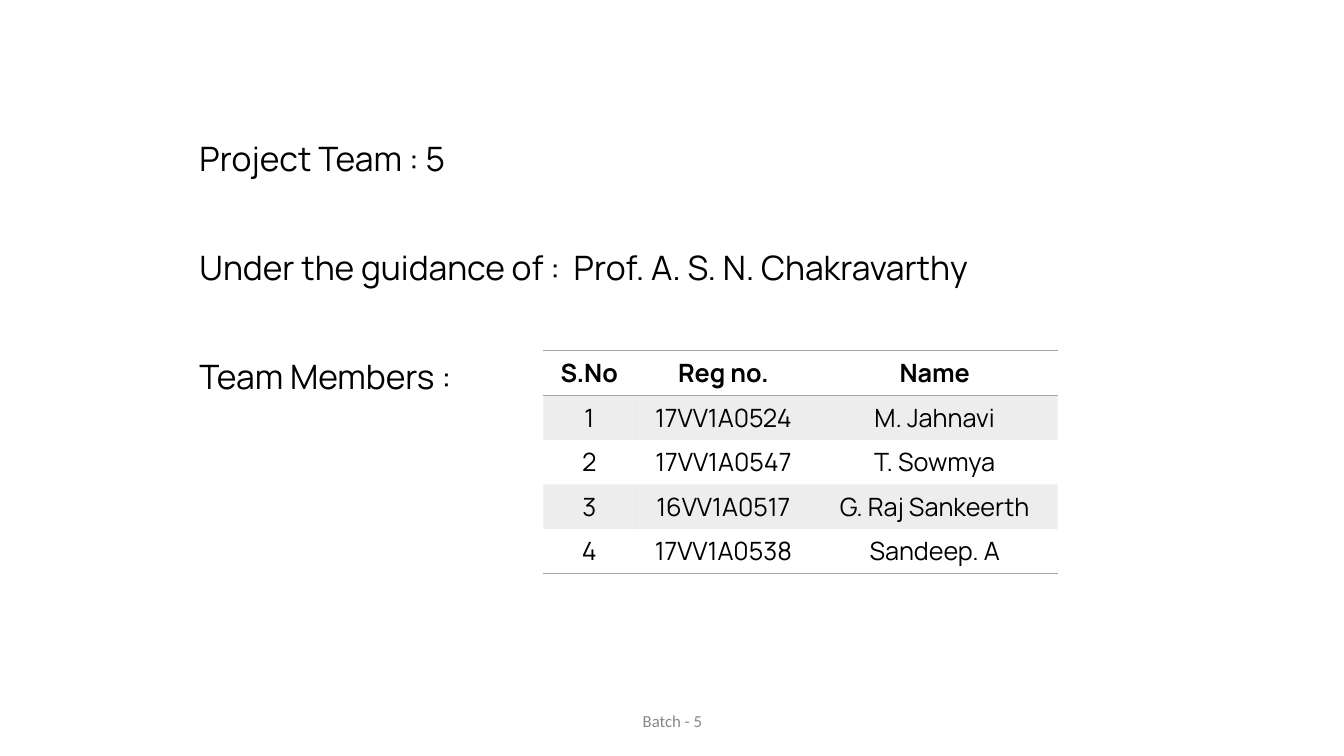
from pptx import Presentation
from pptx.dml.color import RGBColor
from pptx.enum.text import MSO_ANCHOR, MSO_AUTO_SIZE, PP_ALIGN
from pptx.oxml.ns import qn
from pptx.util import Inches, Pt
from lxml import etree
from dataclasses import dataclass

CENTER, LEFT = PP_ALIGN.CENTER, PP_ALIGN.LEFT
TOP, MIDDLE = MSO_ANCHOR.TOP, MSO_ANCHOR.MIDDLE
GROW, FIXED = MSO_AUTO_SIZE.SHAPE_TO_FIT_TEXT, MSO_AUTO_SIZE.NONE


@dataclass(frozen=True)
class Theme:
    """Fonts, colours and type sizes of the slide."""
    body_font: str = "Manrope"
    footer_font: str = "Calibri"
    ink: str = "000000"
    accent: str = "A5A5A5"
    footer_ink: str = "888888"
    band_opacity: int = 20
    heading_size: int = 24
    table_size: int = 18
    footer_size: int = 12
    rule_width: int = 1


class TeamSlide:
    """Draws text and tables on one slide in one theme."""

    def __init__(self, slide, theme):
        """Keep the slide and its theme."""
        self.slide = slide
        self.theme = theme

    def styled_run(self, paragraph, text, size, font, color, bold=False):
        """Add one styled run to a paragraph."""
        run = paragraph.add_run()
        run.text = text
        run.font.size = Pt(size)
        run.font.name = font
        run.font.bold = bold
        run.font.color.rgb = RGBColor.from_string(color)

    def text_box(self, box, text, size, font, color,
                 align=LEFT, anchor=TOP, fit=GROW):
        """Add a wrapped text box with one line of text."""
        frame = self.slide.shapes.add_textbox(*map(Inches, box)).text_frame
        frame.word_wrap = True
        frame.auto_size = fit
        frame.vertical_anchor = anchor
        paragraph = frame.paragraphs[0]
        paragraph.alignment = align
        self.styled_run(paragraph, text, size, font, color)

    def heading(self, top, width, text):
        """Add a left-hand line of the team details."""
        self.text_box((1.88, top, width, 0.5), text, self.theme.heading_size,
                      self.theme.body_font, self.theme.ink)

    def footer(self, text):
        """Add the centred footer."""
        self.text_box((4.42, 6.95, 4.5, 0.4), text, self.theme.footer_size,
                      self.theme.footer_font, self.theme.footer_ink,
                      CENTER, MIDDLE, FIXED)

    def borders(self, cell, ruled_sides):
        """Rule the named sides of a cell and clear the others."""
        properties = cell._tc.get_or_add_tcPr()
        for position, side in enumerate(("lnL", "lnR", "lnT", "lnB")):
            line = etree.Element(qn(f"a:{side}"), w=str(Pt(self.theme.rule_width)))
            if side in ruled_sides:
                fill = etree.SubElement(line, qn("a:solidFill"))
                etree.SubElement(fill, qn("a:srgbClr"), val=self.theme.accent)
            else:
                etree.SubElement(line, qn("a:noFill"))
            properties.insert(position, line)

    def band(self, cell):
        """Fill a cell with the translucent accent colour."""
        cell.fill.solid()
        cell.fill.fore_color.rgb = RGBColor.from_string(self.theme.accent)
        color = cell._tc.tcPr.find(f"{qn('a:solidFill')}/{qn('a:srgbClr')}")
        etree.SubElement(color, qn("a:alpha"), val=str(self.theme.band_opacity * 1000))

    def table(self, left, top, widths, row_height, rows):
        """Add a banded table ruled around its header and at its foot."""
        table = self.slide.shapes.add_table(
            len(rows), len(widths), Inches(left), Inches(top),
            Inches(sum(widths)), Inches(row_height * len(rows))).table
        table.horz_banding = False
        for column, width in zip(table.columns, widths):
            column.width = Inches(width)
        ruled_edges = (0, 1, len(rows))
        for row_index, values in enumerate(rows):
            edges = {"lnT": row_index, "lnB": row_index + 1}
            ruled_sides = [side for side, edge in edges.items() if edge in ruled_edges]
            for column_index, value in enumerate(values):
                cell = table.cell(row_index, column_index)
                cell.vertical_anchor = MIDDLE
                if row_index % 2:
                    self.band(cell)
                else:
                    cell.fill.background()
                self.borders(cell, ruled_sides)
                paragraph = cell.text_frame.paragraphs[0]
                paragraph.alignment = CENTER
                self.styled_run(paragraph, value, self.theme.table_size,
                                self.theme.body_font, self.theme.ink, row_index == 0)


def main():
    """Build and save the project team slide."""
    presentation = Presentation()
    presentation.slide_width = Inches(13.33)
    presentation.slide_height = Inches(7.5)
    slide = presentation.slides.add_slide(presentation.slide_layouts[6])
    team_slide = TeamSlide(slide, Theme())

    members = [
        ("S.No", "Reg no.", "Name"),
        ("1", "17VV1A0524", "M. Jahnavi"),
        ("2", "17VV1A0547", "T. Sowmya"),
        ("3", "16VV1A0517", "G. Raj Sankeerth"),
        ("4", "17VV1A0538", "Sandeep. A"),
    ]
    team_slide.table(5.39, 3.48, (0.91, 1.75, 2.44), 0.41, members)

    headings = [
        (2.88, "Project Team : 5"),
        (8.55, "Under the guidance of :  Prof. A. S. N. Chakravarthy"),
        (3.09, "Team Members :"),
    ]
    for index, (width, text) in enumerate(headings):
        team_slide.heading(1.32 + 1.08 * index, width, text)
    team_slide.footer("Batch - 5")

    presentation.save("out.pptx")


if __name__ == "__main__":
    main()
